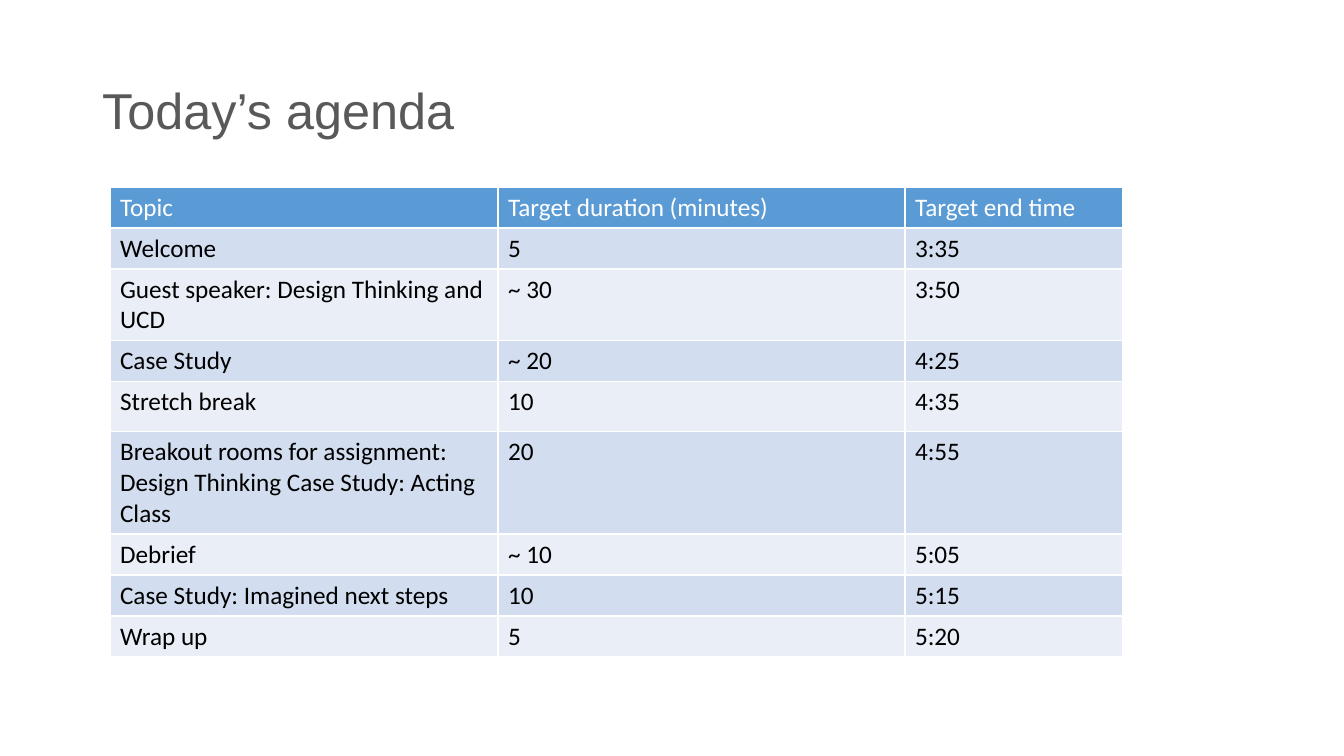
import pptx
import pptx.dml.color
import pptx.enum.text
import pptx.util

SCALE = 914400 / 100.8
COLOURS = {
    "title": "595959",
    "header": "5B9BD5",
    "header text": "FFFFFF",
    "odd row": "D2DEEF",
    "even row": "EAEFF7",
    "body text": "000000",
}
AGENDA = [
    ("Topic", "Target duration (minutes)", "Target end time"),
    ("Welcome", "5", "3:35"),
    ("Guest speaker: Design Thinking and UCD", "~ 30", "3:50"),
    ("Case Study", "~ 20", "4:25"),
    ("Stretch break", "10", "4:35"),
    ("Breakout rooms for assignment: Design Thinking Case Study: Acting Class", "20", "4:55"),
    ("Debrief", "~ 10", "5:05"),
    ("Case Study: Imagined next steps", "10", "5:15"),
    ("Wrap up", "5", "5:20"),
]
COLUMN_WIDTHS = [388, 407, 218]
ROW_HEIGHTS = [41, 41, 71, 41, 50, 102, 41, 41, 41]


def px(length):
    return pptx.util.Emu(round(length * SCALE))


def write(frame, text, *, font, size, colour, spacing=None):
    para = frame.paragraphs[0]
    para.alignment = pptx.enum.text.PP_ALIGN.LEFT
    para.line_spacing = spacing
    span = para.add_run()
    span.text = text
    span.font.name = font
    span.font.size = pptx.util.Pt(size)
    span.font.bold = False
    span.font.color.rgb = pptx.dml.color.RGBColor.from_string(COLOURS[colour])


deck = pptx.Presentation()
deck.slide_width = px(1344)
deck.slide_height = px(756)
page = deck.slides.add_slide(deck.slide_layouts.get_by_name("Title Only"))

title = page.shapes.title
title.left, title.top, title.width, title.height = px(92), px(40), px(1159), px(146)
title.text_frame.vertical_anchor = pptx.enum.text.MSO_ANCHOR.MIDDLE
write(title.text_frame, "Today’s agenda", font="Arial", size=36, colour="title", spacing=0.9)

table = page.shapes.add_table(
    len(AGENDA), len(COLUMN_WIDTHS), px(110), px(187), px(sum(COLUMN_WIDTHS)), px(sum(ROW_HEIGHTS))
).table
for column, width in zip(table.columns, COLUMN_WIDTHS):
    column.width = px(width)

for index, (entry, height) in enumerate(zip(AGENDA, ROW_HEIGHTS)):
    table.rows[index].height = px(height)
    if index == 0:
        fill, ink = "header", "header text"
    else:
        fill, ink = "odd row" if index % 2 else "even row", "body text"
    for cell, text in zip(table.rows[index].cells, entry):
        cell.fill.solid()
        cell.fill.fore_color.rgb = pptx.dml.color.RGBColor.from_string(COLOURS[fill])
        write(cell.text_frame, text, font="Calibri", size=18, colour=ink)

deck.save("out.pptx")
